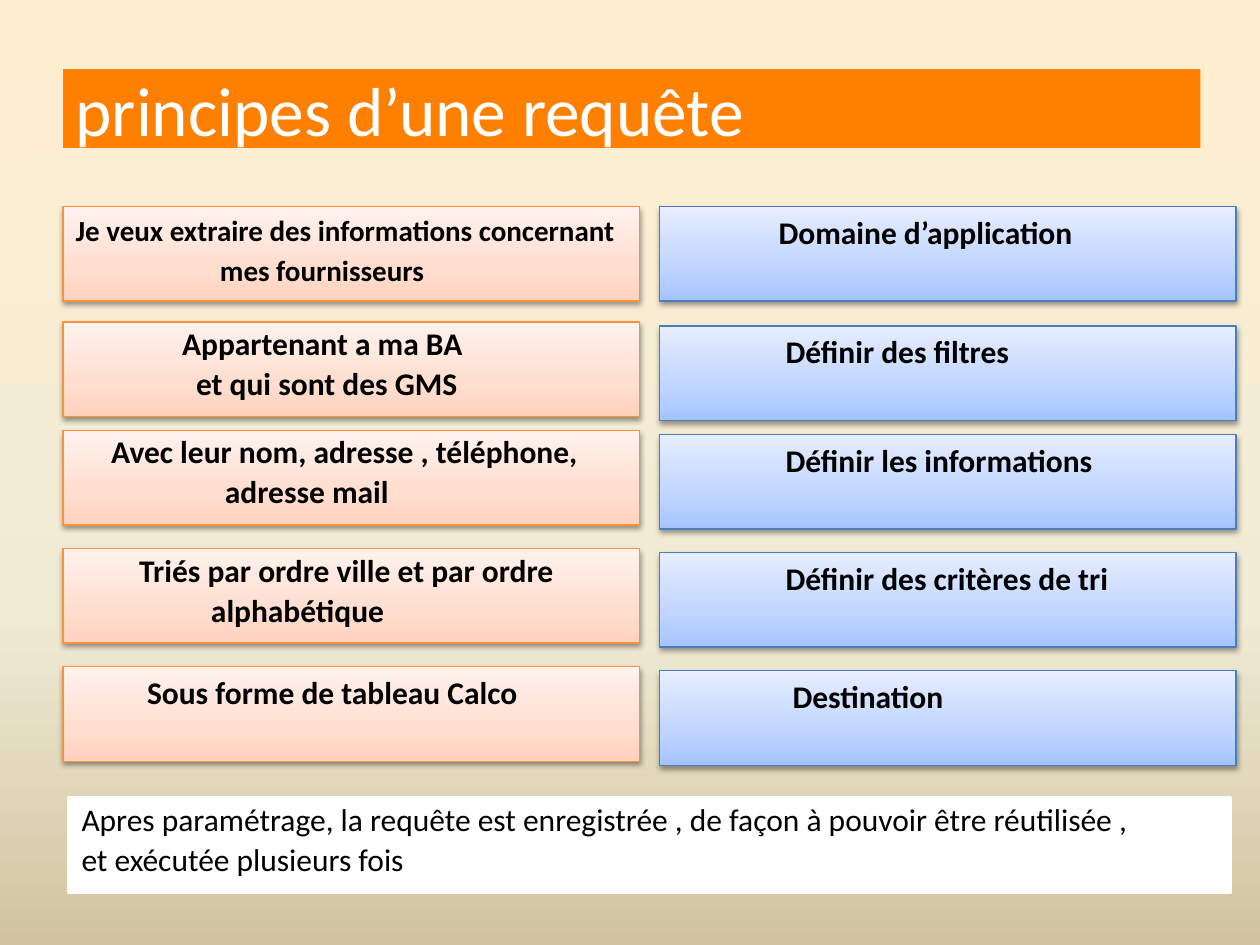
from lxml import etree
from pptx import Presentation
from pptx.dml.color import RGBColor
from pptx.enum.shapes import MSO_SHAPE
from pptx.enum.text import MSO_ANCHOR, MSO_AUTO_SIZE, PP_ALIGN
from pptx.oxml import parse_xml
from pptx.oxml.ns import qn
from pptx.util import Pt

RECT = MSO_SHAPE.RECTANGLE
TOP, MID = MSO_ANCHOR.TOP, MSO_ANCHOR.MIDDLE
FIXED = MSO_AUTO_SIZE.NONE
LEFT = PP_ALIGN.LEFT
NS = 'xmlns:a="http://schemas.openxmlformats.org/drawingml/2006/main"'
HEX = {
    "title": "FF7F00", "white": "FFFFFF", "black": "000000",
    "need": ["FFD2BD", "FFDED0", "FFF2ED"], "need_line": "F69240",
    "step": ["A4C4FF", "BFD4FF", "E6EEFF"], "step_line": "4B7EBC",
    "back": ["FFEFD1", "F0EBD5", "D1C39F"],
}


def fade(fill, root, tones, mid, angle):
    fill.gradient()
    fill.gradient_angle = angle
    stops = root.find(".//" + qn("a:gsLst"))
    for stop in list(stops):
        stops.remove(stop)
    for pos, tone in zip((0, mid, 100), tones):
        stops.append(parse_xml(
            f'<a:gs {NS} pos="{pos * 1000}"><a:srgbClr val="{tone}"/></a:gs>'))


def write(shape, lines, size=18, bold=True, color="black", pitch=1, gap=3.4, anchor=TOP):
    frame = shape.text_frame
    frame.word_wrap = True
    frame.auto_size = FIXED
    frame.vertical_anchor = anchor
    for i, (text, indent) in enumerate(lines):
        para = frame.paragraphs[0] if i == 0 else frame.add_paragraph()
        para.alignment = LEFT
        para.line_spacing = pitch
        para.space_before = Pt(gap)
        props = para._p.get_or_add_pPr()
        props.set("marL", str(Pt(indent)))
        props.set("indent", "0")
        etree.SubElement(props, qn("a:buNone"))
        run = para.add_run()
        run.text = text
        run.font.name = "Calibri"
        run.font.size = Pt(size)
        run.font.bold = bold
        run.font.color.rgb = RGBColor.from_string(HEX[color])


deck = Presentation()
deck.slide_width, deck.slide_height = Pt(720), Pt(540)
slide = deck.slides.add_slide(deck.slide_layouts[1])
fade(slide.background.fill, slide.element, HEX["back"], 65, 270)

title, body = slide.shapes.title, slide.placeholders[1]
title.left, title.top, title.width, title.height = Pt(36), Pt(39.5), Pt(650), Pt(45)
title.fill.solid()
title.fill.fore_color.rgb = RGBColor.from_string(HEX["title"])
write(title, [("principes d’une requête", 0)], size=39.6, bold=False,
      color="white", gap=0, anchor=MID)

tops = [118, 184, 246, 313.5, 381]
needs = [
    [("Je veux extraire des informations concernant", 0), ("mes fournisseurs", 82.5)],
    [("Appartenant a ma BA", 61), ("et qui sont des GMS", 69)],
    [("Avec leur nom, adresse , téléphone,", 20.5), ("adresse mail", 85.5)],
    [("Triés par ordre ville et par ordre", 36.5), ("alphabétique", 77.5)],
    [("Sous forme de tableau Calco", 41)],
]
steps = [
    ("Domaine d’application", 61), ("Définir des filtres", 65),
    ("Définir les informations", 65), ("Définir des critères de tri", 65),
    ("Destination", 69),
]
cells = []
for i, (top, need) in enumerate(zip(tops, needs)):
    form = {"size": 16.6, "gap": 2.8} if i == 0 else {"pitch": 0.9 if len(need) > 1 else 1}
    cells.append(("need", 36, top, need, form))
for i, (top, step) in enumerate(zip(tops, steps)):
    cells.append(("step", 376.8, top + (2.3 if i else 0), [step], {}))

for i, (kind, left, top, lines, form) in enumerate(cells):
    box = body if i == 0 else slide.shapes.add_shape(RECT, 0, 0, 0, 0)
    box.left, box.top, box.width, box.height = Pt(left), Pt(top), Pt(329.6), Pt(54)
    fade(box.fill, box.element, HEX[kind], 35, 90)
    box.line.color.rgb = RGBColor.from_string(HEX[kind + "_line"])
    box.line.width = Pt(0.75)
    box.shadow.inherit = False
    box.element.spPr.find(qn("a:effectLst")).append(parse_xml(
        f'<a:outerShdw {NS} blurRad="{Pt(3.1)}" dist="{Pt(1.6)}" dir="5400000" '
        'rotWithShape="0"><a:srgbClr val="000000"><a:alpha val="38000"/>'
        '</a:srgbClr></a:outerShdw>'))
    write(box, lines, **form)

note = slide.shapes.add_shape(RECT, Pt(39.5), Pt(455.8), Pt(663.8), Pt(54))
note.shadow.inherit = False
note.fill.solid()
note.fill.fore_color.rgb = RGBColor.from_string(HEX["white"])
note.line.color.rgb = RGBColor.from_string(HEX["white"])
note.line.width = Pt(2)
write(note, [
    ("Apres paramétrage, la requête est enregistrée , de façon à pouvoir être réutilisée ,", 0),
    ("et exécutée plusieurs fois", 0),
], bold=False, pitch=0.9)

deck.save("out.pptx")
